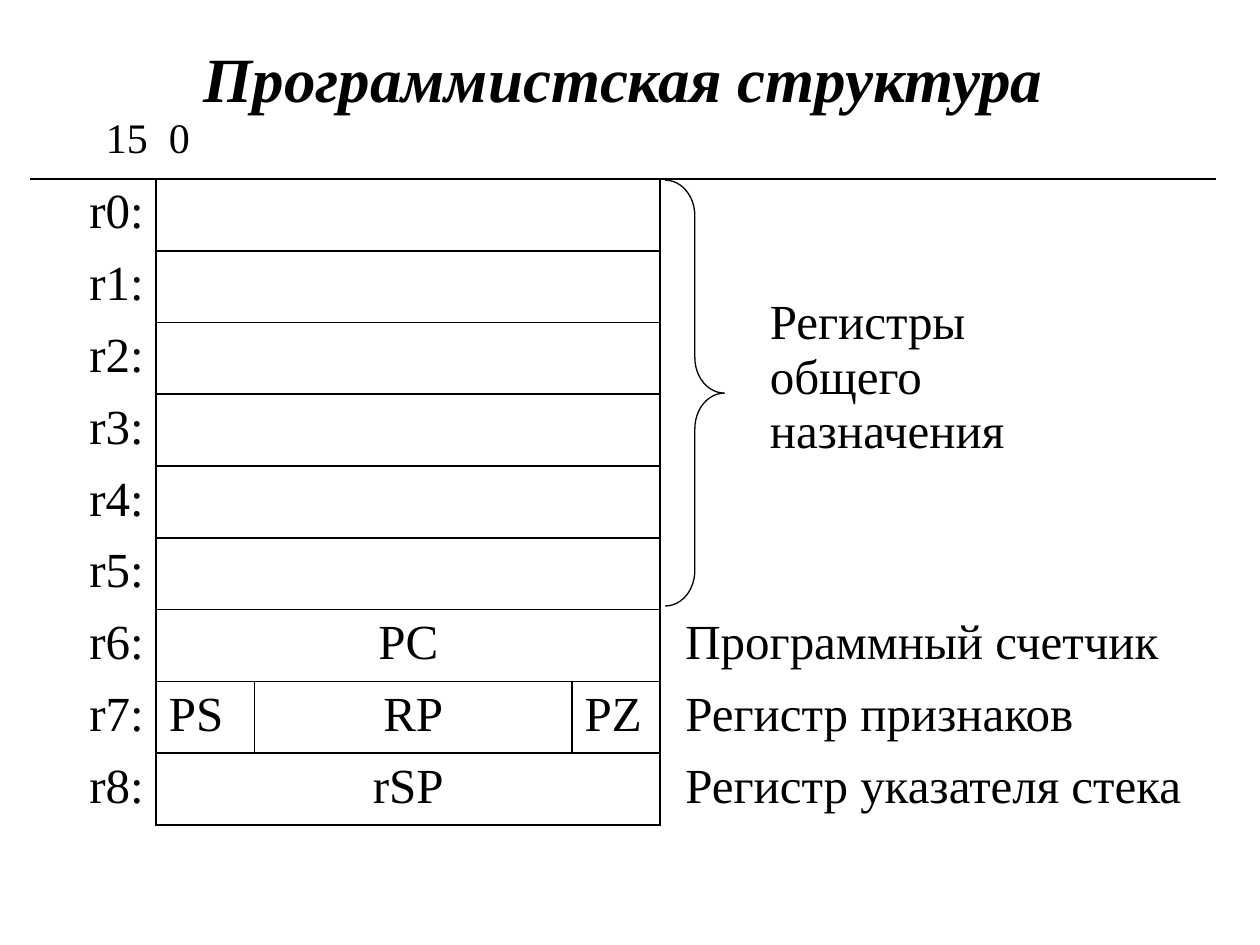
from dataclasses import dataclass

from lxml.etree import SubElement
from pptx import Presentation
from pptx.dml.color import RGBColor
from pptx.enum.shapes import MSO_SHAPE as Shape
from pptx.enum.text import PP_ALIGN as Align
from pptx.oxml.ns import qn
from pptx.table import Table, _Cell as Cell
from pptx.util import Inches, Pt


@dataclass(frozen=True)
class Theme:
    ink: str = "000000"
    font: str = "Times New Roman"
    title: float = 36
    bits: float = 24
    body: float = 28
    border: float = 1.08
    brace: float = 0.75


@dataclass(frozen=True)
class Register:
    name: str
    fields: tuple[str, ...] = ()
    meaning: str = ""


THEME = Theme()
COLUMNS = (1, 0.78, 2.52, 0.7, 4.41)
HEADER_HEIGHT, ROW_HEIGHT = 1.1, 0.57
FIRST_FIELD, MEANING = 1, 4
REGISTERS = (
    *(Register(f"r{number}:") for number in range(6)),
    Register("r6:", ("PC",), "Программный счетчик"),
    Register("r7:", ("PS", "RP", "PZ"), "Регистр признаков"),
    Register("r8:", ("rSP",), "Регистр указателя стека"),
)
GENERAL_COUNT = 6
SPLIT_ROW = 8


def write(cell: Cell, *lines: str, size: float = THEME.body, align: Align = Align.LEFT,
          bold: bool = False, italic: bool = False, indent: float = 0,
          tabs: tuple[float, ...] = (), append: bool = False) -> None:
    frame = cell.text_frame
    for index, line in enumerate(lines):
        paragraph = frame.add_paragraph() if append or index else frame.paragraphs[0]
        paragraph.alignment = align
        properties = paragraph._p.get_or_add_pPr()
        properties.set("marL", str(Inches(indent)))
        properties.set("indent", "0")
        if tabs:
            stops = SubElement(properties, qn("a:tabLst"))
            for position in tabs:
                SubElement(stops, qn("a:tab"), pos=str(Inches(position)), algn="l")
        run = paragraph.add_run()
        run.text = line
        font = run.font
        font.name, font.size = THEME.font, Pt(size)
        font.bold, font.italic = bold, italic
        font.color.rgb = RGBColor.from_string(THEME.ink)


def has_horizontal(boundary: int, column: int) -> bool:
    return boundary == 1 or (boundary > 1 and FIRST_FIELD <= column < MEANING)


def has_vertical(boundary: int, row: int) -> bool:
    return row > 0 and (boundary in (FIRST_FIELD, MEANING)
                        or (row == SPLIT_ROW and boundary in (2, 3)))


def set_borders(cell: Cell, row: int, column: int) -> None:
    right = column + (cell.span_width if cell.is_merge_origin else 1)
    bottom = row + (cell.span_height if cell.is_merge_origin else 1)
    edges = {
        "a:lnL": has_vertical(column, row),
        "a:lnR": has_vertical(right, row),
        "a:lnT": has_horizontal(row, column),
        "a:lnB": has_horizontal(bottom, column),
    }
    cell.fill.background()
    properties = cell._tc.get_or_add_tcPr()
    for index, (tag, visible) in enumerate(edges.items()):
        line = SubElement(properties, qn(tag), w=str(Pt(THEME.border)))
        if visible:
            fill = SubElement(line, qn("a:solidFill"))
            SubElement(fill, qn("a:srgbClr"), val=THEME.ink)
        else:
            SubElement(line, qn("a:noFill"))
        properties.insert(index, line)


def add_register_table(slide) -> Table:
    row_heights = (HEADER_HEIGHT, *[ROW_HEIGHT] * len(REGISTERS))
    table = slide.shapes.add_table(
        len(row_heights), len(COLUMNS), Inches(0.24), Inches(0.32),
        Inches(sum(COLUMNS)), Inches(sum(row_heights))).table
    table.first_row = table.horz_banding = False
    for column, width in zip(table.columns, COLUMNS):
        column.width = Inches(width)
    for row, height in zip(table.rows, row_heights):
        row.height = Inches(height)
    return table


def fill_register(table: Table, row: int, register: Register) -> None:
    write(table.cell(row, 0), register.name, align=Align.RIGHT)
    if len(register.fields) < 2:
        table.cell(row, FIRST_FIELD).merge(table.cell(row, MEANING - 1))
    for offset, field in enumerate(register.fields):
        cell = table.cell(row, FIRST_FIELD + offset)
        centred = cell.is_merge_origin or offset == 1
        write(cell, field, align=Align.CENTER if centred else Align.LEFT)
    if register.meaning:
        write(table.cell(row, MEANING), register.meaning, indent=0.1)


def add_brace(slide) -> None:
    brace = slide.shapes.add_shape(
        Shape.RIGHT_BRACE, Inches(5.28), Inches(1.43), Inches(0.47), Inches(3.38))
    brace.adjustments[0] = 0.6
    brace.shadow.inherit = False
    brace.fill.background()
    brace.line.color.rgb = RGBColor.from_string(THEME.ink)
    brace.line.width = Pt(THEME.brace)


def main() -> None:
    presentation = Presentation()
    presentation.slide_width, presentation.slide_height = Inches(10), Inches(7.5)
    slide = presentation.slides.add_slide(presentation.slide_layouts[6])

    table = add_register_table(slide)
    header = table.cell(0, 0)
    header.merge(table.cell(0, MEANING))
    write(header, "Программистская структура", size=THEME.title,
          align=Align.CENTER, bold=True, italic=True)
    write(header, "\t15\t0", size=THEME.bits, tabs=(0.91, 4.66), append=True)

    for row, register in enumerate(REGISTERS, start=1):
        fill_register(table, row, register)

    general = table.cell(1, MEANING)
    general.merge(table.cell(GENERAL_COUNT, MEANING))
    general.margin_top = Inches(0.93)
    write(general, "Регистры", "общего", "назначения", indent=0.77)

    for row in range(len(table.rows)):
        for column in range(len(COLUMNS)):
            set_borders(table.cell(row, column), row, column)

    add_brace(slide)
    presentation.save("out.pptx")


if __name__ == "__main__":
    main()
